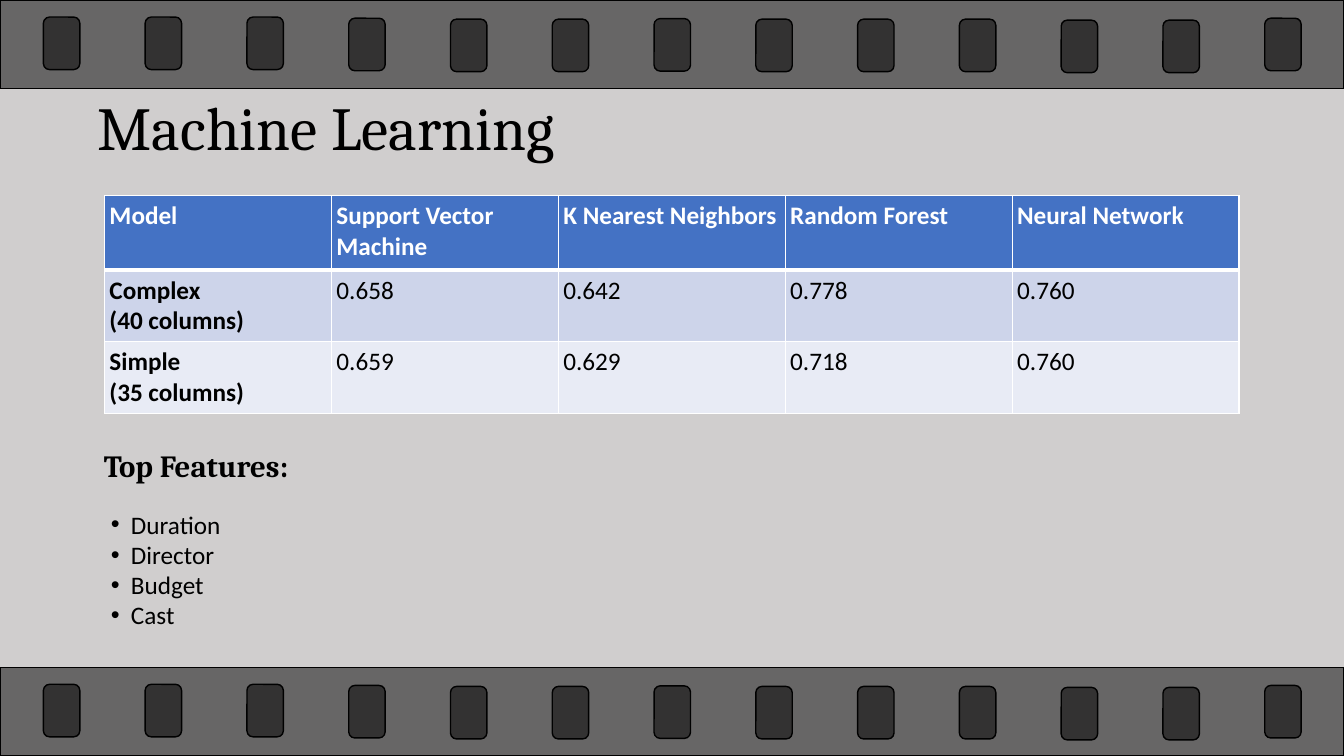
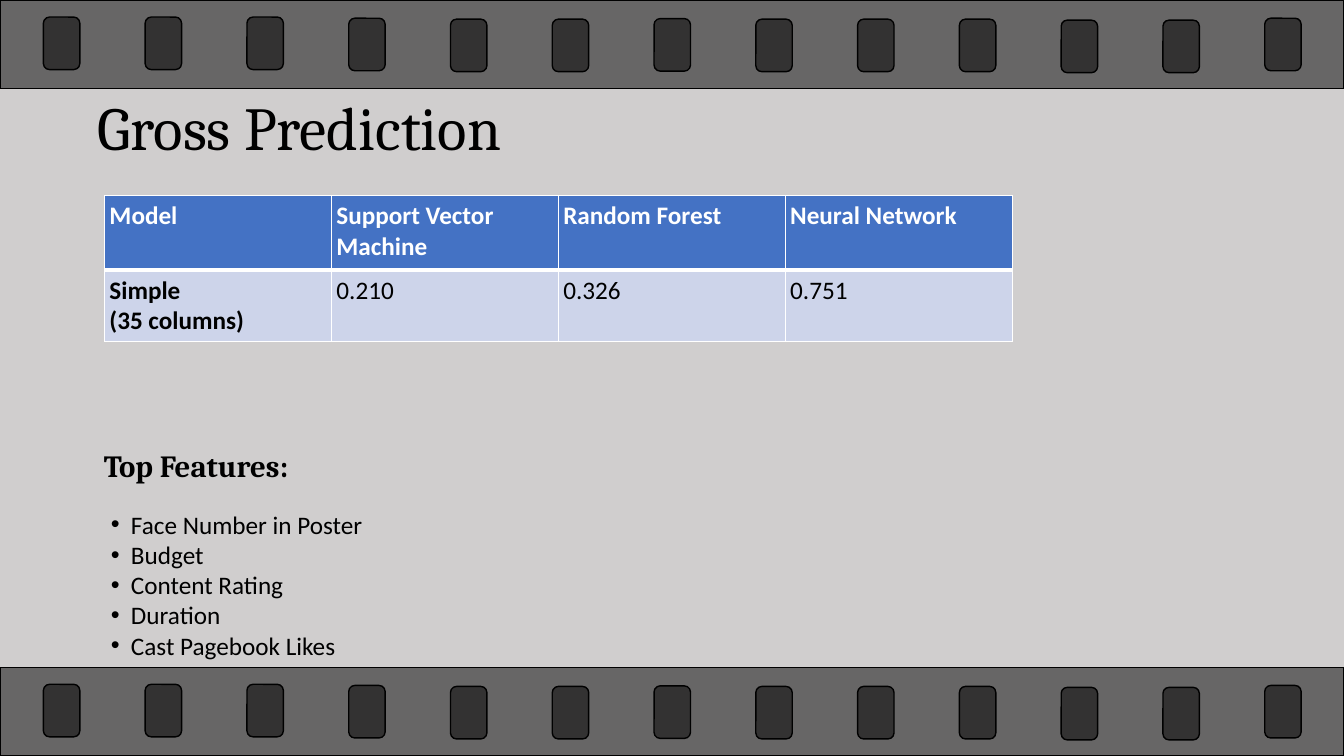
import pptx
import pptx.util
import pptx.dml.color
import pptx.enum.shapes
import pptx.enum.text
import pptx.oxml
import pptx.oxml.ns
from lxml import etree

Pt = pptx.util.Pt
qn = pptx.oxml.ns.qn

SLIDE_W, SLIDE_H = 960, 540
BAND_H = 63.4
INSET = 3.6
COLORS = {
    "background": "D0CECE",
    "film": "000000",
    "text": "000000",
    "header": "4472C4",
    "header_text": "FFFFFF",
    "border": "FFFFFF",
    "odd_row": "CDD4EA",
    "even_row": "E8EBF5",
}
HEADING_FONT, BODY_FONT = "Cambria", "Calibri"

TITLE_BOX = (66.2, 64.1, 828, 59)
TABLE_ORIGIN = (74.6, 139.6)
COLUMN_W, HEADER_H, ROW_H = 162.1, 53.3, 51.2
FEATURES_ORIGIN = (70.6, 315.4)

HOLE_W, HOLE_H, HOLE_LEFT, HOLE_STEP = 26, 37.5, 31, 72.7
# The perforations sit slightly unevenly, so each has its own distance from the band's top.
HOLE_TOPS = (12.2, 12.2, 12.2, 13, 13.7, 13.7, 13.3, 13.7, 13.7, 13.7, 14.4, 14.4, 13)


def rgb(name):
    return pptx.dml.color.RGBColor.from_string(COLORS[name])


def add_run(paragraph, text, size, font, color="text", bold=False):
    run = paragraph.add_run()
    run.text = text
    run.font.size = Pt(size)
    run.font.name = font
    run.font.bold = bold
    run.font.color.rgb = rgb(color)


def set_insets(holder):
    holder.margin_left = holder.margin_right = Pt(INSET)
    holder.margin_top = holder.margin_bottom = Pt(INSET)


def add_film_part(group, kind, left, top, width, height):
    """Add a half-transparent black shape with a black outline."""
    part = group.shapes.add_shape(kind, Pt(left), Pt(top), Pt(width), Pt(height))
    part.shadow.inherit = False
    part.fill.solid()
    part.fill.fore_color.rgb = rgb("film")
    fill_color = part.element.spPr.find(qn("a:solidFill"))[0]
    etree.SubElement(fill_color, qn("a:alpha"), val="50000")
    part.line.color.rgb = rgb("film")
    part.line.width = Pt(1)


def add_film_band(slide, top):
    shape_kinds = pptx.enum.shapes.MSO_SHAPE
    band = slide.shapes.add_group_shape()
    add_film_part(band, shape_kinds.RECTANGLE, 0, top, SLIDE_W, BAND_H)
    for index, hole_top in enumerate(HOLE_TOPS):
        add_film_part(band, shape_kinds.ROUNDED_RECTANGLE,
                      HOLE_LEFT + index * HOLE_STEP, top + hole_top, HOLE_W, HOLE_H)
    return band


def style_master(master, slide):
    """Draw the film bands on the slide, then move them to the master for all slides."""
    master.background.fill.solid()
    master.background.fill.fore_color.rgb = rgb("background")
    for position, top in enumerate((0, SLIDE_H - BAND_H)):
        band = add_film_band(slide, top)
        master.shapes.element.insert(2 + position, band.element)
    for number, properties in enumerate(master.element.iter(qn("p:cNvPr")), 1):
        properties.set("id", str(number))


def fill_title(slide, text, box):
    title = slide.shapes.title
    title.left, title.top, title.width, title.height = map(Pt, box)
    frame = title.text_frame
    frame.auto_size = pptx.enum.text.MSO_AUTO_SIZE.NONE
    frame.vertical_anchor = pptx.enum.text.MSO_ANCHOR.MIDDLE
    set_insets(frame)
    paragraph = frame.paragraphs[0]
    paragraph.alignment = pptx.enum.text.PP_ALIGN.LEFT
    paragraph.line_spacing = 0.9
    add_run(paragraph, text, 43.6, HEADING_FONT)


def set_borders(cell, top, bottom):
    properties = cell._tc.get_or_add_tcPr()
    for side, width in (("L", 1), ("R", 1), ("T", top), ("B", bottom)):
        line = etree.SubElement(properties, qn(f"a:ln{side}"), w=str(Pt(width)))
        fill = etree.SubElement(line, qn("a:solidFill"))
        etree.SubElement(fill, qn("a:srgbClr"), val=COLORS["border"])


def fill_cell(cell, text, row, column):
    set_insets(cell)
    set_borders(cell, top=3 if row == 1 else 1, bottom=3 if row == 0 else 1)
    cell.fill.solid()
    row_color = "header" if row == 0 else "odd_row" if row % 2 else "even_row"
    cell.fill.fore_color.rgb = rgb(row_color)
    paragraph = cell.text_frame.paragraphs[0]
    for index, line in enumerate(text.split("\n")):
        if index:
            paragraph.add_line_break()
        add_run(paragraph, line, 18, BODY_FONT,
                color="text" if row else "header_text", bold=row == 0 or column == 0)


def add_score_table(slide, scores, origin):
    left, top = origin
    row_count, column_count = len(scores), len(scores[0])
    height = HEADER_H + (row_count - 1) * ROW_H
    table = slide.shapes.add_table(row_count, column_count, Pt(left), Pt(top),
                                   Pt(column_count * COLUMN_W), Pt(height)).table
    for column in table.columns:
        column.width = Pt(COLUMN_W)
    for row, values in enumerate(scores):
        table.rows[row].height = Pt(ROW_H if row else HEADER_H)
        for column, text in enumerate(values):
            fill_cell(table.cell(row, column), text, row, column)


def add_text_frame(slide, left, top, width, height):
    frame = slide.shapes.add_textbox(Pt(left), Pt(top), Pt(width), Pt(height)).text_frame
    frame.word_wrap = True
    set_insets(frame)
    return frame


def add_bullet(paragraph):
    properties = paragraph._p.get_or_add_pPr()
    properties.set("marL", str(Pt(14.4)))
    properties.set("indent", str(-Pt(14.4)))
    etree.SubElement(properties, qn("a:buFont"), typeface="Arial")
    etree.SubElement(properties, qn("a:buChar"), char="•")


def add_top_features(slide, features, origin, list_width):
    left, top = origin
    heading = add_text_frame(slide, left, top, 216, 34.6)
    add_run(heading.paragraphs[0], "Top Features:", 22, HEADING_FONT, bold=True)

    feature_list = add_text_frame(slide, left + 5, top + 44.6,
                                  list_width, 22 * len(features) + 3)
    for index, feature in enumerate(features):
        paragraph = feature_list.add_paragraph() if index else feature_list.paragraphs[0]
        add_bullet(paragraph)
        add_run(paragraph, feature, 18, BODY_FONT)


def fill_model_slide(slide, title, scores, features, list_width):
    fill_title(slide, title, TITLE_BOX)
    add_score_table(slide, scores, TABLE_ORIGIN)
    add_top_features(slide, features, FEATURES_ORIGIN, list_width)


MODEL_SLIDES = [
    {
        "title": "Machine Learning",
        "scores": [
            ("Model", "Support Vector Machine", "K Nearest Neighbors",
             "Random Forest", "Neural Network"),
            ("Complex\n(40 columns)", "0.658", "0.642", "0.778", "0.760"),
            ("Simple\n(35 columns)", "0.659", "0.629", "0.718", "0.760"),
        ],
        "features": ["Duration", "Director", "Budget", "Cast"],
        "list_width": 97,
    },
    {
        "title": "Gross Prediction",
        "scores": [
            ("Model", "Support Vector Machine", "Random Forest", "Neural Network"),
            ("Simple\n(35 columns)", "0.210", "0.326", "0.751"),
        ],
        "features": ["Face Number in Poster", "Budget", "Content Rating",
                     "Duration", "Cast Pagebook Likes"],
        "list_width": 210,
    },
]


def main():
    deck = pptx.Presentation()
    deck.slide_width, deck.slide_height = Pt(SLIDE_W), Pt(SLIDE_H)
    title_only = deck.slide_layouts.get_by_name("Title Only")
    slides = [deck.slides.add_slide(title_only) for _ in MODEL_SLIDES]
    style_master(deck.slide_master, slides[0])
    for slide, content in zip(slides, MODEL_SLIDES):
        fill_model_slide(slide, **content)
    deck.save("out.pptx")


if __name__ == "__main__":
    main()
